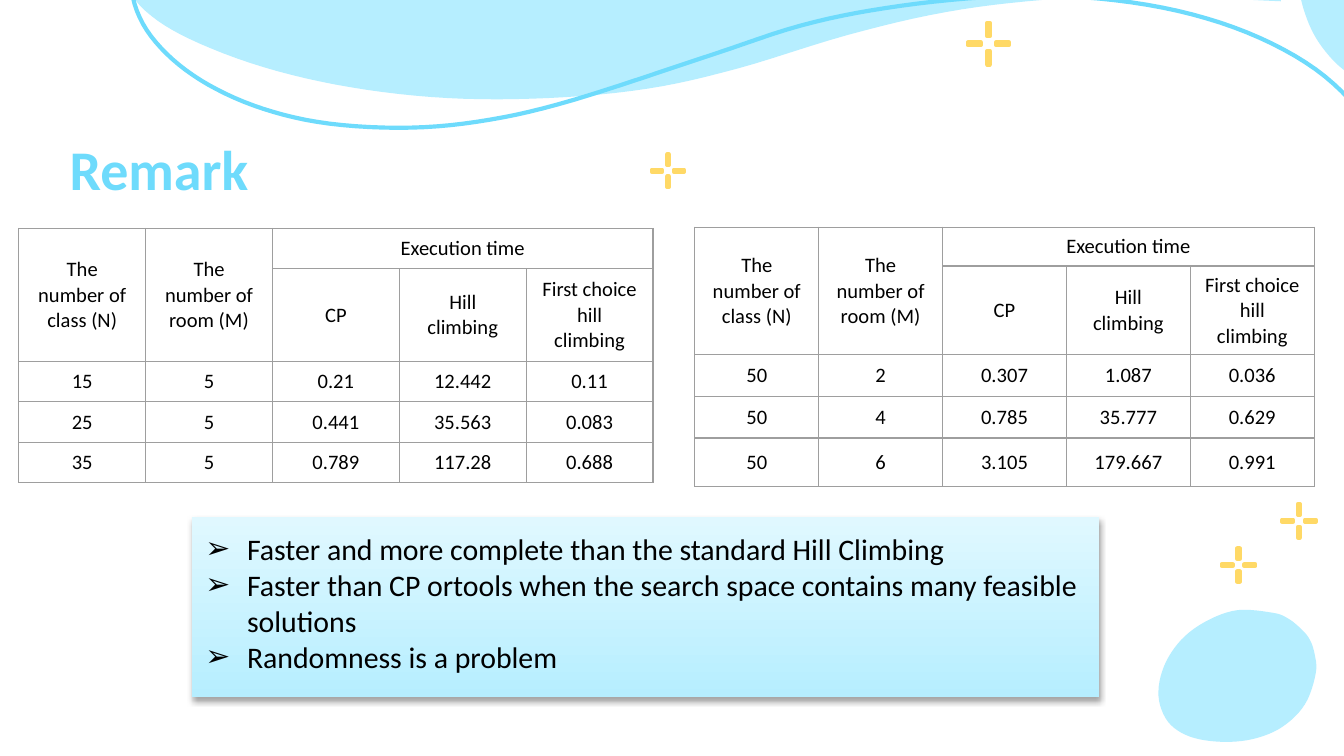
from lxml.etree import SubElement
from pptx import Presentation
from pptx.dml.color import RGBColor
from pptx.enum.shapes import MSO_SHAPE as Kind
from pptx.enum.text import MSO_ANCHOR as Anchor, PP_ALIGN as Align
from pptx.oxml import parse_xml
from pptx.oxml.ns import nsdecls, qn
from pptx.util import Inches, Pt

COLORS = {"pale": "B6EEFF", "light": "E0F8FF", "sky": "6EDBFC", "gold": "FFD966",
          "grid": "9E9E9E", "ink": "000000", "white": "FFFFFF"}
FONT = "Calibri"

EDGE = [(0.78, -0.28), (0.87, -0.19), (1.08, 0.08), (1.41, 0.29), (1.96, 0.5),
        (2.61, 0.65), (3.33, 0.73), (4.08, 0.73), (4.82, 0.66), (5.49, 0.51),
        (6.31, 0.26), (7.04, 0.09), (7.76, 0), (8.5, -0.03), (9.53, 0.01)]
CORNERS = [(9.51, -0.53), (9.7, -0.64)]
SWIRL = [(-1.72, -1.46), (-1.13, -1.59), (-0.45, -1.63), (0.18, -1.54), (0.7, -1.32),
         (0.96, -1.02), (1.01, -0.69), (0.97, -0.19), (1.04, 0.13), (1.24, 0.4),
         (1.55, 0.63), (1.96, 0.81), (2.45, 0.92), (3.06, 0.95), (3.65, 0.89),
         (4.28, 0.74), (5.29, 0.41), (5.96, 0.19), (6.59, 0.06), (7.33, -0.02),
         (8.06, -0.02), (8.76, 0.08), (9.37, 0.28), (9.86, 0.57), (10.17, 0.93),
         (10.28, 1.38)]
TOP_BLOB = [(1.23, 0.65), (1.17, 0.45), (1.05, 0.27), (0.9, 0.14), (0.72, 0.04),
            (0.49, 0), (0.27, 0.03), (0.11, 0.12), (0.01, 0.29), (0, 0.43),
            (0.04, 0.63), (0.13, 0.84), (0.28, 1.03), (0.45, 1.15), (0.64, 1.21),
            (0.84, 1.21), (1.03, 1.13), (1.18, 0.98), (1.24, 0.79)]
LOW_BLOB = [(0.85, 0.02), (0.59, 0), (0.36, 0.08), (0.17, 0.22), (0.04, 0.42),
            (0, 0.64), (0.07, 0.83), (0.23, 0.94), (0.46, 0.98), (0.7, 0.96),
            (0.92, 0.87), (1.09, 0.7), (1.17, 0.47), (1.16, 0.32), (1.12, 0.21),
            (1.05, 0.13), (0.96, 0.06)]

HEADS = ["The number of class (N)", "The number of room (M)", "Execution time"]
METHODS = ["CP", "Hill climbing", "First choice hill climbing"]
BY_CLASS = [["15", "5", "0.21", "12.442", "0.11"],
            ["25", "5", "0.441", "35.563", "0.083"],
            ["35", "5", "0.789", "117.28", "0.688"]]
BY_ROOM = [["50", "2", "0.307", "1.087", "0.036"],
           ["50", "4", "0.785", "35.777", "0.629"],
           ["50", "6", "3.105", "179.667", "0.991"]]
NOTES = ["Faster and more complete than the standard Hill Climbing",
         "Faster than CP ortools when the search space contains many feasible solutions",
         "Randomness is a problem"]


def rgb(name):
    return RGBColor.from_string(COLORS[name])


def smooth(pts, closed=False, steps=6):
    """Run a Catmull-Rom curve through the points."""
    ends = [pts[-1], *pts, pts[0], pts[1]] if closed else [pts[0], *pts, pts[-1]]
    out = []
    for a, b, c, d in zip(ends, ends[1:], ends[2:], ends[3:]):
        for i in range(steps):
            t = i / steps
            out.append(tuple(
                q + t * (r - p) / 2 + t * t * (2 * p - 5 * q + 4 * r - s) / 2
                + t ** 3 * (3 * q - p - 3 * r + s) / 2
                for p, q, r, s in zip(a, b, c, d)))
    return out if closed else out + [pts[-1]]


def outline(slide, x, y, pts, fill=None, line=None):
    """Draw points given relative to x, y; closed when it has a fill."""
    spots = [(Inches(x + px), Inches(y + py)) for px, py in pts]
    pen = slide.shapes.build_freeform(*spots[0])
    pen.add_line_segments(spots[1:], close=fill is not None)
    shape = pen.convert_to_shape()
    shape.shadow.inherit = False
    if fill:
        shape.fill.solid()
        shape.fill.fore_color.rgb = rgb(fill)
    else:
        shape.fill.background()
    if line:
        shape.line.color.rgb = rgb(line)
        shape.line.width = Pt(2.25)
        SubElement(shape.line._get_or_add_ln(), qn("a:round"))
    else:
        shape.line.fill.background()


def waves(slide, x, y):
    outline(slide, x + 9.66, y - 0.56, smooth(TOP_BLOB, True), "pale")
    outline(slide, x, y, smooth(EDGE) + CORNERS, "pale")
    outline(slide, x, y, smooth(SWIRL), line="sky")


def spark(slide, x, y, size):
    """Four short bars around an empty centre."""
    long, thin = size * 0.32, size * 0.06
    mid, far = (size - thin) / 2, size - long
    for left, top, w, h in [(mid, 0, thin, long), (mid, far, thin, long),
                            (far, mid, long, thin), (0, mid, long, thin)]:
        bar = [(0, 0), (0, h), (w, h), (w, 0)]
        outline(slide, x + left, y + top, bar, "white", "gold")


def write(para, text, size, color="ink", bold=False):
    run = para.add_run()
    run.text = text
    run.font.name, run.font.size, run.font.bold = FONT, Pt(size), bold
    run.font.color.rgb = rgb(color)


def inset(frame):
    frame.word_wrap = True
    frame.margin_left = frame.margin_right = Inches(0.1)
    frame.margin_top = frame.margin_bottom = Inches(0.1)


def title(slide, x, y, w, h):
    frame = slide.shapes.add_textbox(*map(Inches, (x, y, w, h))).text_frame
    inset(frame)
    frame.vertical_anchor = Anchor.BOTTOM
    write(frame.paragraphs[0], "Remark", 30, "sky", True)


def remarks(slide, x, y, w, h):
    box = slide.shapes.add_shape(Kind.ROUNDED_RECTANGLE, *map(Inches, (x, y, w, h)))
    box.adjustments[0] = 0
    box.line.fill.background()
    box.fill.gradient()
    box.fill.gradient_angle = 270
    for stop, name in zip(box.fill.gradient_stops, ("light", "pale")):
        stop.color.rgb = rgb(name)
    box.shadow.inherit = False
    box._element.spPr.find(qn("a:effectLst")).append(parse_xml(
        f'<a:outerShdw {nsdecls("a")} blurRad="40000" dist="23000" dir="5400000" rotWithShape="0">'
        f'<a:srgbClr val="{COLORS["ink"]}"><a:alpha val="35000"/></a:srgbClr></a:outerShdw>'))
    frame = box.text_frame
    inset(frame)
    frame.vertical_anchor = Anchor.TOP
    for i, note in enumerate(NOTES):
        para = frame.add_paragraph() if i else frame.paragraphs[0]
        para.alignment = Align.LEFT
        props = para._p.get_or_add_pPr()
        props.set("marL", str(Inches(0.31)))
        props.set("indent", str(-Inches(0.31)))
        tint = SubElement(props, qn("a:buClr"))
        SubElement(tint, qn("a:srgbClr"), val=COLORS["ink"])
        SubElement(props, qn("a:buFont"), typeface=FONT)
        SubElement(props, qn("a:buChar"), char="➢")
        write(para, note, 16)


def frame_cell(cell):
    props = cell._tc.get_or_add_tcPr()
    for side in ("lnL", "lnR", "lnT", "lnB"):
        props.append(parse_xml(
            f'<a:{side} {nsdecls("a")} w="{Pt(0.75)}"><a:solidFill>'
            f'<a:srgbClr val="{COLORS["grid"]}"/></a:solidFill></a:{side}>'))
    cell.fill.background()
    cell.vertical_anchor = Anchor.MIDDLE


def times(slide, x, y, w, rows, data):
    grid = [HEADS + ["", ""], ["", ""] + METHODS, *data]
    table = slide.shapes.add_table(
        len(grid), 5, *map(Inches, (x, y, w, sum(rows)))).table
    table.first_row = table.horz_banding = False
    for col in table.columns:
        col.width = Inches(w / 5)
    for r, (line, high) in enumerate(zip(grid, rows)):
        table.rows[r].height = Inches(high)
        for c, text in enumerate(line):
            cell = table.cell(r, c)
            frame_cell(cell)
            if text:
                para = cell.text_frame.paragraphs[0]
                para.alignment = Align.CENTER
                write(para, text, 11)
    for c in (0, 1):
        table.cell(0, c).merge(table.cell(1, c))
    table.cell(0, 2).merge(table.cell(0, 4))


def main():
    deck = Presentation()
    deck.slide_width = Inches(10)
    deck.slide_height = deck.slide_width * 9 // 16
    slide = deck.slides.add_slide(deck.slide_layouts[6])
    waves(slide, 0, 0)
    remarks(slide, 1.43, 3.85, 6.75, 1.34)
    for x, y, size in [(7.2, 0.17, 0.31), (4.85, 1.15, 0.24),
                       (9.09, 4.08, 0.25), (9.54, 3.75, 0.25)]:
        spark(slide, x, y, size)
    outline(slide, 8.62, 4.54, smooth(LOW_BLOB, True), "pale")
    title(slide, 0.42, 0.65, 7.76, 0.95)
    times(slide, 0.14, 1.7, 4.72, [0.3, 0.69, 0.3, 0.3, 0.3], BY_CLASS)
    times(slide, 5.17, 1.69, 4.61, [0.29, 0.66, 0.31, 0.31, 0.36], BY_ROOM)
    deck.save("out.pptx")


if __name__ == "__main__":
    main()
